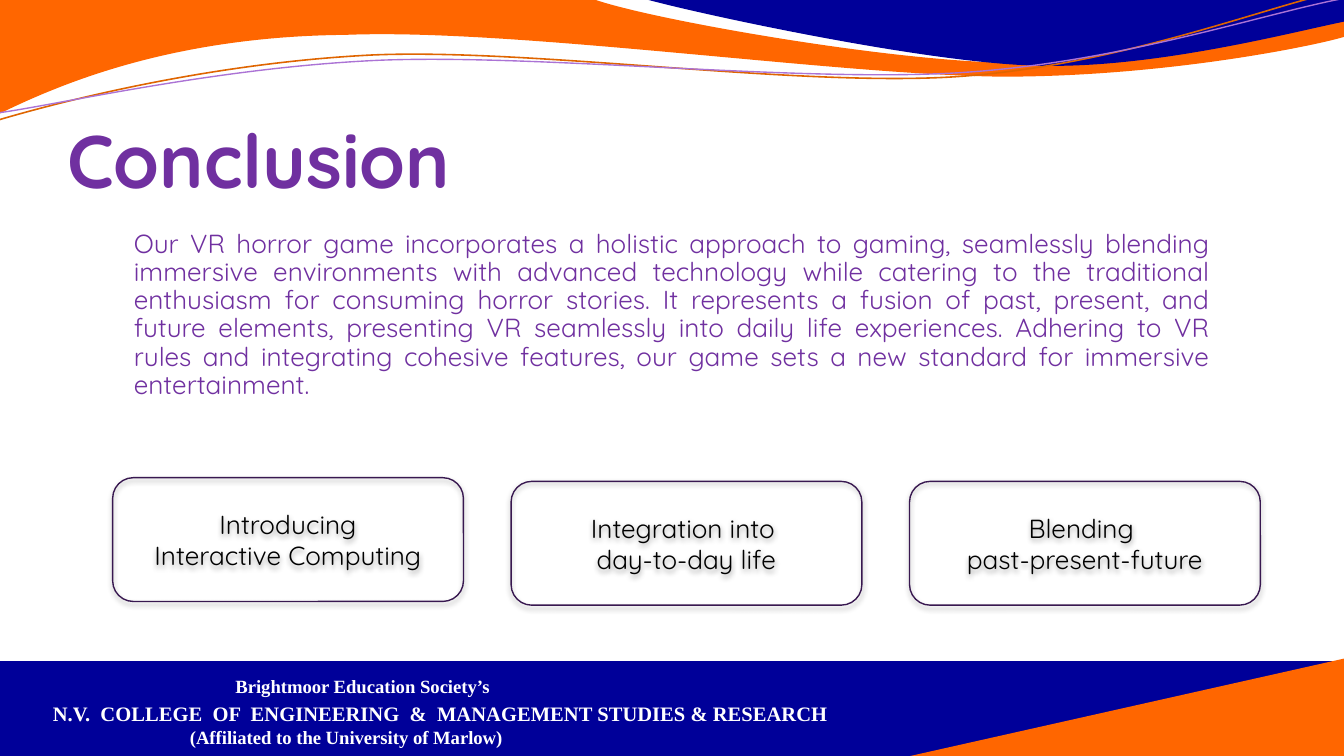
from lxml import etree
from pptx import Presentation
from pptx.dml.color import RGBColor
from pptx.enum.shapes import MSO_SHAPE
from pptx.enum.text import MSO_ANCHOR, PP_ALIGN
from pptx.oxml.ns import qn
from pptx.util import Cm, Pt

RECTANGLE, TRIANGLE = MSO_SHAPE.RECTANGLE, MSO_SHAPE.ISOSCELES_TRIANGLE
ROUNDED = MSO_SHAPE.ROUNDED_RECTANGLE
TOP, MIDDLE, BOTTOM = MSO_ANCHOR.TOP, MSO_ANCHOR.MIDDLE, MSO_ANCHOR.BOTTOM
LEFT, CENTER, JUSTIFY = PP_ALIGN.LEFT, PP_ALIGN.CENTER, PP_ALIGN.JUSTIFY

ORANGE = RGBColor(0xFF, 0x66, 0x00)
NAVY = RGBColor(0x00, 0x00, 0x99)
RUST = RGBColor(0xDF, 0x65, 0x00)
LILAC = RGBColor(0xAB, 0x73, 0xD5)
PURPLE = RGBColor(0x70, 0x30, 0xA0)
PLUM = RGBColor(0x38, 0x18, 0x50)
BLACK = RGBColor(0x00, 0x00, 0x00)
WHITE = RGBColor(0xFF, 0xFF, 0xFF)

TITLE = "Conclusion"
SUMMARY = (
    "Our VR horror game incorporates a holistic approach to gaming, seamlessly "
    "blending immersive environments with advanced technology while catering to "
    "the traditional enthusiasm for consuming horror stories. It represents a "
    "fusion of past, present, and future elements, presenting VR seamlessly into "
    "daily life experiences. Adhering to VR rules and integrating cohesive "
    "features, our game sets a new standard for immersive entertainment."
)
CARDS = [
    (9.03, ["Introducing", "Interactive Computing"]),
    (9.1, ["Integration into ", "day-to-day life"]),
    (9.1, ["Blending ", "past-present-future"]),
]
FOOTER = [
    ("Brightmoor Education Society’s", 10, 4.2, 15.7),
    ("N.V.  COLLEGE  OF  ENGINEERING  &  MANAGEMENT STUDIES & RESEARCH", 11, 0.75, 15.1),
    ("(Affiliated to the University of Marlow)", 10, 3.34, 12.3),
]
BANDS = [
    (ORANGE, (0, 0), [
        (11.18, -0.03),
        (12.09, 0.33, 16.87, 1.19, 19.25, 1.19),
        (21.67, 1.19, 24.33, 0.48, 25.4, 0.18),
        (25.43, 0.69),
        (24.97, 0.84, 22.1, 1.45, 18.95, 1.45),
        (15.8, 1.42, 9.7, 0.53, 6.53, 0.66),
        (3.28, 0.69, 1.17, 1.57, -0.03, 2.16),
    ]),
    (NAVY, (12.15, -0.03), [
        (12.93, 0.2, 17.32, 1.17, 19.53, 1.24),
        (21.74, 1.32, 24.41, 0.61, 25.4, 0.41),
        (25.4, 0),
    ]),
]
STRANDS = [
    (RUST, 0.85, (0, 2.26), [
        (1.22, 1.9, 4.01, 1.19, 7.04, 1.04),
        (10.06, 0.91, 15.04, 1.65, 18.08, 1.45),
        (21.16, 1.24, 23.85, 0.15, 25.35, -0.18),
    ]),
    (LILAC, 0.75, (0, 2.13), [
        (1.19, 1.96, 4.17, 1.27, 7.19, 1.14),
        (10.24, 1.02, 15.16, 1.57, 18.21, 1.37),
        (21.23, 1.17, 23.9, 0.25, 25.4, -0.03),
    ]),
]
CARD_LEFT, CARD_PITCH, CARD_WIDTH, CARD_HEIGHT = 2.13, 7.53, 6.63, 2.34

deck = Presentation()
deck.slide_width, deck.slide_height = Cm(25.4), Cm(14.29)
slide = deck.slides.add_slide(deck.slide_layouts[6])
shapes = slide.shapes


def paint(shape, fill=None, line=None, width=0.75):
    shape.shadow.inherit = False
    for part, color in ((shape.fill, fill), (shape.line.fill, line)):
        if color is None:
            part.background()
        else:
            part.solid()
            part.fore_color.rgb = color
    if line is not None:
        shape.line.width = Pt(width)
    return shape


def wave(start, segments, closed):
    builder = shapes.build_freeform(Cm(start[0]), Cm(start[1]))
    builder.add_line_segments([(Cm(s[-2]), Cm(s[-1])) for s in segments], close=closed)
    shape = builder.convert_to_shape()
    strokes = list(shape.element.iter(qn("a:lnTo")))
    for stroke, segment in zip(strokes, segments):
        if len(segment) == 6:
            stroke.tag = qn("a:cubicBezTo")
            for place in (0, 1):
                x, y = segment[2 * place:2 * place + 2]
                control = etree.Element(qn("a:pt"), x=str(Cm(x) - shape.left),
                                        y=str(Cm(y) - shape.top))
                stroke.insert(place, control)
    return shape


def write(shape, lines, font, align=LEFT, anchor=TOP, insets=(0.25, 0.13, 0.25, 0.13)):
    frame = shape.text_frame
    frame.word_wrap = True
    frame.vertical_anchor = anchor
    sides = ("margin_left", "margin_top", "margin_right", "margin_bottom")
    for side, inset in zip(sides, insets):
        setattr(frame, side, Cm(inset))
    for number, line in enumerate(lines):
        paragraph = frame.paragraphs[0] if number == 0 else frame.add_paragraph()
        paragraph.alignment = align
        run = paragraph.add_run()
        run.text = line
        run.font.color.rgb = font["color"]
        for key, value in font.items():
            if key != "color":
                setattr(run.font, key, value)
    return frame.paragraphs


def cast_shadow(shape):
    effects = shape.element.spPr.find(qn("a:effectLst"))
    shadow = etree.SubElement(effects, qn("a:outerShdw"), blurRad=str(Pt(3.1)),
                              dist=str(Pt(1.6)), dir="5400000", rotWithShape="0")
    tone = etree.SubElement(shadow, qn("a:srgbClr"), val=str(BLACK))
    etree.SubElement(tone, qn("a:alpha"), val="38000")


for color, start, segments in BANDS:
    paint(wave(start, segments, True), fill=color)
for color, width, start, segments in STRANDS:
    paint(wave(start, segments, False), line=color, width=width)

footer = paint(shapes.add_shape(RECTANGLE, Cm(0), Cm(12.5), Cm(25.4), Cm(1.79)), fill=NAVY)
footer_font = {"name": "Times New Roman", "bold": True, "color": WHITE}
footer_lines = write(footer, [entry[0] for entry in FOOTER], footer_font)
for paragraph, (_, size, indent, spacing) in zip(footer_lines, FOOTER):
    paragraph.runs[0].font.size = Pt(size)
    paragraph.line_spacing = Pt(spacing)
    properties = paragraph._p.get_or_add_pPr()
    properties.set("marL", str(Cm(indent)))
    properties.set("indent", "0")

corner = paint(shapes.add_shape(TRIANGLE, Cm(16.94), Cm(12.45), Cm(8.46), Cm(1.9)), fill=ORANGE)
corner.adjustments[0] = 1

title = shapes.add_textbox(Cm(1.27), Cm(1.46), Cm(22.86), Cm(2.39))
write(title, [TITLE], {"name": "Quicksand", "size": Pt(40), "bold": True, "color": PURPLE},
      anchor=BOTTOM, insets=(0, 0.13, 0, 0))

summary = shapes.add_textbox(Cm(2.28), Cm(4.23), Cm(20.85), Cm(3.89))
summary_text = write(summary, [SUMMARY],
                     {"name": "Quicksand", "size": Pt(14), "color": PURPLE}, JUSTIFY)[0]
summary_text.line_spacing = 0.9
summary_text.space_before = Pt(3.6)

for column, (top, lines) in enumerate(CARDS):
    card = paint(shapes.add_shape(ROUNDED, Cm(CARD_LEFT + column * CARD_PITCH), Cm(top),
                                  Cm(CARD_WIDTH), Cm(CARD_HEIGHT)), line=PLUM)
    cast_shadow(card)
    write(card, lines, {"name": "Quicksand", "size": Pt(14), "color": BLACK}, CENTER, MIDDLE)

deck.save("out.pptx")
